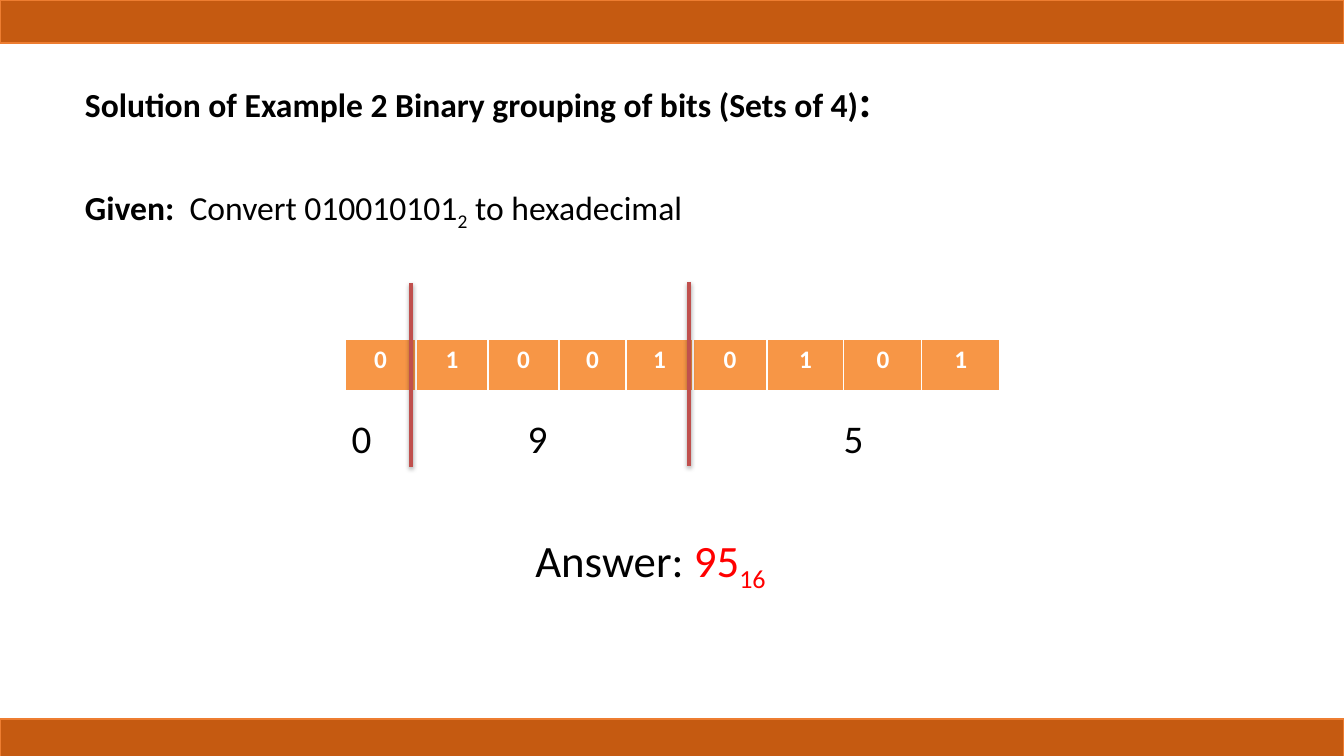
import pptx
import pptx.util
import pptx.dml.color
import pptx.enum.shapes
import pptx.enum.text
import pptx.oxml
import pptx.oxml.ns

BITS = "010010101"
COLUMN_WIDTHS = [71, 72, 71, 67, 67, 74, 77, 78, 78]
TABLE_LEFT, TABLE_TOP, ROW_HEIGHT = 345, 339, 53
DIVIDERS = [(689, 282), (411, 283)]
DIVIDER_LENGTH = 184
HEX_DIGITS = [("0", 328), ("9", 504), ("5", 820)]
HEX_BOX = (409, 67, 57)
BAR_TOPS = [0, 719]
SLIDE_WIDTH, SLIDE_HEIGHT, BAR_HEIGHT = 1344, 756, 43
GIVEN_GAP = 43

THEME = {
    "font": "Calibri",
    "ink": "000000",
    "white": "FFFFFF",
    "answer": "FF0000",
    "cell": "F79646",
    "divider": "C0504D",
    "bar": "C55A11",
    "bar_line": "ED7D31",
    "bit_size": 18,
    "body_size": 24,
    "digit_size": 28,
    "large_size": 32,
}

HEADING = [
    [
        ("Solution of Example 2 Binary grouping of bits (Sets of 4)", {"bold": True}),
        (":", {"bold": True, "size": "large_size"}),
    ],
    [
        ("Given:  ", {"bold": True}),
        ("Convert 010010101", {}),
        ("2", {"subscript": True}),
        (" to hexadecimal", {}),
    ],
]
ANSWER = [
    ("Answer: ", {"size": "large_size"}),
    ("95", {"size": "large_size", "color": "answer"}),
    ("16", {"size": "large_size", "color": "answer", "subscript": True}),
]

CENTER = pptx.enum.text.PP_ALIGN.CENTER
LEFT = pptx.enum.text.PP_ALIGN.LEFT
NAMESPACE = pptx.oxml.ns.nsdecls("a")


def px(value):
    return pptx.util.Emu(round(value * 914400 / 100.8))


def rgb(name):
    return pptx.dml.color.RGBColor.from_string(THEME[name])


def add_run(paragraph, text, size="body_size", color="ink", bold=False, subscript=False):
    run = paragraph.add_run()
    run.text = text
    run.font.name = THEME["font"]
    run.font.size = pptx.util.Pt(THEME[size])
    run.font.bold = bold
    run.font.color.rgb = rgb(color)
    if subscript:
        run.font._element.set("baseline", "-25000")


def add_text(slide, box, paragraphs, alignment=CENTER, gap=0):
    frame = slide.shapes.add_textbox(*map(px, box)).text_frame
    frame.word_wrap = True
    frame.auto_size = pptx.enum.text.MSO_AUTO_SIZE.SHAPE_TO_FIT_TEXT
    for index, runs in enumerate(paragraphs):
        paragraph = frame.add_paragraph() if index else frame.paragraphs[0]
        paragraph.alignment = alignment
        if index:
            paragraph.space_before = pptx.util.Pt(gap)
        for text, style in runs:
            add_run(paragraph, text, **style)


def set_borders(cell):
    properties = cell._tc.get_or_add_tcPr()
    for index, (side, points) in enumerate([("L", 1), ("R", 1), ("T", 1), ("B", 3)]):
        border = pptx.oxml.parse_xml(
            f'<a:ln{side} {NAMESPACE} w="{pptx.util.Pt(points)}"><a:solidFill>'
            f'<a:srgbClr val="{THEME["white"]}"/></a:solidFill></a:ln{side}>'
        )
        properties.insert(index, border)


def add_bit_table(slide):
    box = (TABLE_LEFT, TABLE_TOP, sum(COLUMN_WIDTHS), ROW_HEIGHT)
    table = slide.shapes.add_table(1, len(BITS), *map(px, box)).table
    for index, (bit, width) in enumerate(zip(BITS, COLUMN_WIDTHS)):
        table.columns[index].width = px(width)
        cell = table.cell(0, index)
        cell.fill.solid()
        cell.fill.fore_color.rgb = rgb("cell")
        set_borders(cell)
        paragraph = cell.text_frame.paragraphs[0]
        paragraph.alignment = CENTER
        add_run(paragraph, bit, "bit_size", "white", True)


def add_divider(slide, x, top):
    connector = slide.shapes.add_connector(
        pptx.enum.shapes.MSO_CONNECTOR.STRAIGHT,
        px(x), px(top), px(x), px(top + DIVIDER_LENGTH),
    )
    connector.line.width = pptx.util.Pt(3)
    connector.line.color.rgb = rgb("divider")
    connector._element.spPr.append(pptx.oxml.parse_xml(
        f'<a:effectLst {NAMESPACE}><a:outerShdw blurRad="40000" dist="23000" '
        f'dir="5400000" rotWithShape="0"><a:srgbClr val="{THEME["ink"]}">'
        '<a:alpha val="35000"/></a:srgbClr></a:outerShdw></a:effectLst>'
    ))


def add_bar(slide, top):
    shape = slide.shapes.add_shape(
        pptx.enum.shapes.MSO_SHAPE.RECTANGLE,
        px(0), px(top), px(SLIDE_WIDTH), px(BAR_HEIGHT),
    )
    shape.shadow.inherit = False
    shape.fill.solid()
    shape.fill.fore_color.rgb = rgb("bar")
    shape.line.color.rgb = rgb("bar_line")
    shape.line.width = pptx.util.Pt(1)


def main():
    presentation = pptx.Presentation()
    presentation.slide_width = px(SLIDE_WIDTH)
    presentation.slide_height = px(SLIDE_HEIGHT)
    slide = presentation.slides.add_slide(presentation.slide_layouts[6])
    add_bit_table(slide)
    for x, top in DIVIDERS:
        add_divider(slide, x, top)
    for digit, left in HEX_DIGITS:
        add_text(slide, (left, *HEX_BOX), [[(digit, {"size": "digit_size"})]])
    add_text(slide, (411, 528, 479, 65), [ANSWER])
    add_text(slide, (75, 68, 814, 113), HEADING, LEFT, GIVEN_GAP)
    for top in BAR_TOPS:
        add_bar(slide, top)
    presentation.save("out.pptx")


if __name__ == "__main__":
    main()
